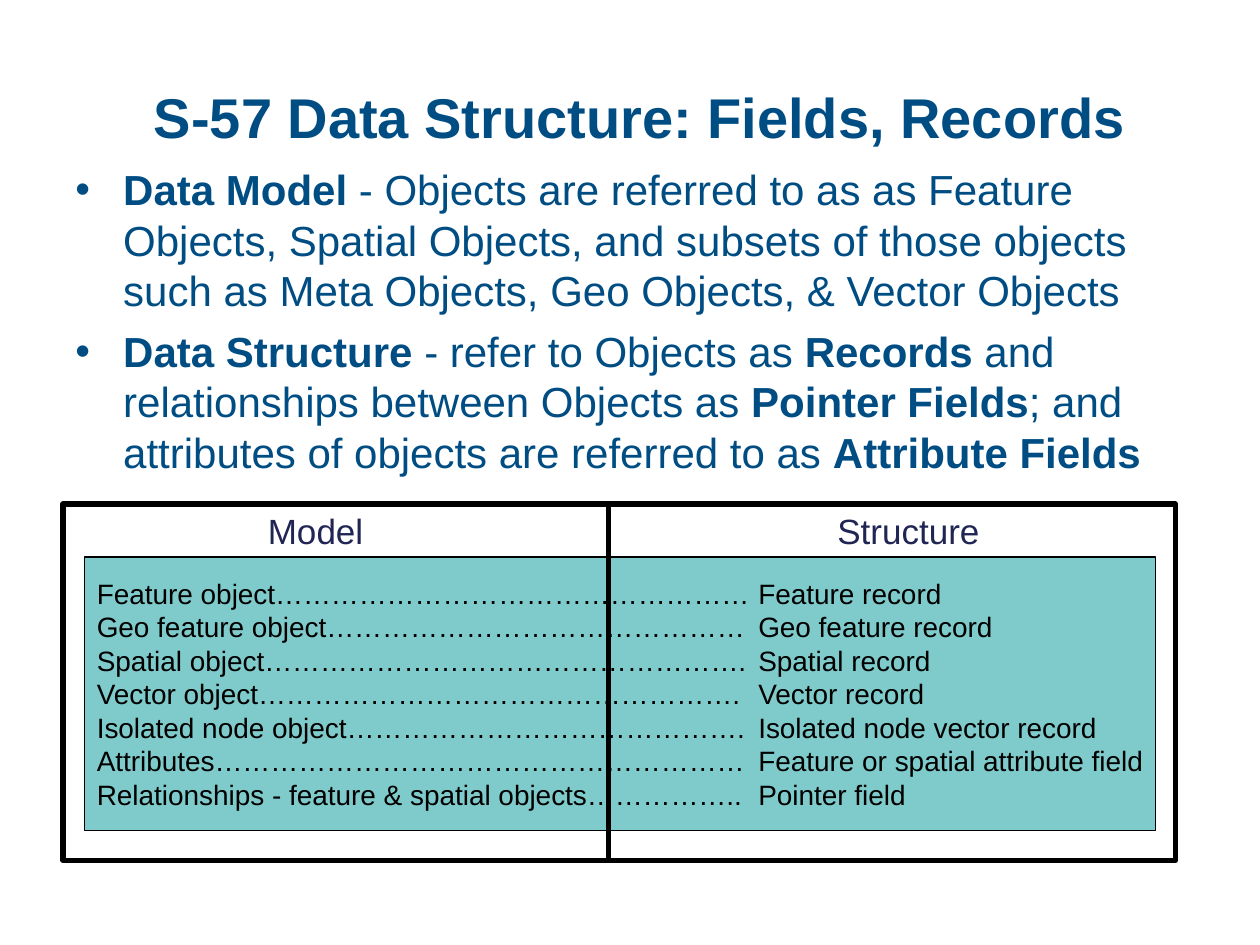
from lxml import etree
from pptx import Presentation
from pptx.dml.color import RGBColor
from pptx.enum.shapes import MSO_CONNECTOR, MSO_SHAPE
from pptx.enum.text import MSO_ANCHOR, PP_ALIGN
from pptx.oxml.ns import qn
from pptx.util import Inches, Pt

LEFT, CENTER = PP_ALIGN.LEFT, PP_ALIGN.CENTER
TOP, MIDDLE = MSO_ANCHOR.TOP, MSO_ANCHOR.MIDDLE
RECTANGLE, STRAIGHT = MSO_SHAPE.RECTANGLE, MSO_CONNECTOR.STRAIGHT

# Content: paragraphs are lists of (text, bold) spans
TITLE = "S-57 Data Structure: Fields, Records"
BULLETS = [
    [("Data Model", True),
     (" - Objects are referred to as as Feature Objects, Spatial Objects, and subsets "
      "of those objects such as Meta Objects, Geo Objects, & Vector Objects", False)],
    [("Data Structure", True), (" - refer to Objects as ", False), ("Records", True),
     (" and relationships between Objects as ", False), ("Pointer Fields", True),
     ("; and attributes of objects are referred to as ", False),
     ("Attribute Fields", True)],
]
HEADINGS = [("Model", 1.92, 1.17), ("Structure", 6.42, 1.58)]  # text, left, width
PAIRS = [
    ("Feature object……………………………………………", "Feature record"),
    ("Geo feature object………………………………………", "Geo feature record"),
    ("Spatial object…………………………………………….", "Spatial record"),
    ("Vector object…………………………………………….", "Vector record"),
    ("Isolated node object…………………………………….", "Isolated node vector record"),
    ("Attributes…………………………………………………", "Feature or spatial attribute field"),
    ("Relationships - feature & spatial objects……………..", "Pointer field"),
]

THEME = {
    "font": "Arial",
    "blue": RGBColor(0x00, 0x4D, 0x83),
    "navy": RGBColor(0x20, 0x25, 0x54),
    "teal": RGBColor(0x00, 0x99, 0x99),
    "black": RGBColor(0, 0, 0),
    "white": RGBColor(255, 255, 255),
    "title": 32, "body": 24, "heading": 20, "pair": 16,
}

# Layout in inches
PANEL_LEFT, PANEL_TOP, PANEL_WIDTH, PANEL_HEIGHT = 0.5, 4, 8.83, 2.83
HEADING_HEIGHT = 0.42
DIVIDER_X = 4.83
RECORD_TAB = 5.25
BULLET_INDENT = 0.38


def inches(*values):
    return [Inches(value) for value in values]


def add_bullet(para):
    properties = para._p.get_or_add_pPr()
    properties.set("marL", str(Inches(BULLET_INDENT)))
    properties.set("indent", str(-Inches(BULLET_INDENT)))
    etree.SubElement(properties, qn("a:buFont"), typeface=THEME["font"])
    etree.SubElement(properties, qn("a:buChar"), char="•")


def add_tab(para, position):
    tabs = etree.SubElement(para._p.get_or_add_pPr(), qn("a:tabLst"))
    etree.SubElement(tabs, qn("a:tab"), pos=str(Inches(position)), algn="l")


def write(box, paragraphs, size, color, align=LEFT, anchor=MIDDLE, wrap=False,
          bullet=False, tab=None, space=0):
    frame = box.text_frame
    frame.word_wrap = wrap
    frame.vertical_anchor = anchor
    for index, spans in enumerate(paragraphs):
        para = frame.add_paragraph() if index else frame.paragraphs[0]
        if bullet:
            add_bullet(para)
        if tab:
            add_tab(para, tab)
        para.alignment = align
        para.space_before = Pt(space if index else 0)
        for text, bold in spans:
            span = para.add_run()
            span.text = text
            span.font.name = THEME["font"]
            span.font.size = Pt(THEME[size])
            span.font.bold = bold
            span.font.color.rgb = THEME[color]


def add_rectangle(shapes, place, fill, line_width, opacity=None):
    box = shapes.add_shape(RECTANGLE, *inches(*place))
    box.shadow.inherit = False
    box.fill.solid()
    box.fill.fore_color.rgb = THEME[fill]
    if opacity is not None:
        color = box.fill._xPr.find(".//" + qn("a:srgbClr"))
        etree.SubElement(color, qn("a:alpha"), val=str(opacity * 1000))
    box.line.color.rgb = THEME["black"]
    box.line.width = Pt(line_width)
    return box


def main():
    deck = Presentation()
    deck.slide_width, deck.slide_height = inches(10, 7.5)
    slide = deck.slides.add_slide(deck.slide_layouts[5])

    # Title and bullets
    title = slide.shapes.title
    title.left, title.top, title.width, title.height = inches(0.83, 0.42, 8.5, 1)
    write(title, [[(TITLE, True)]], "title", "blue", align=CENTER, wrap=True)
    body = slide.shapes.add_textbox(*inches(0.5, 1.25, 9.17, 2.75))
    write(body, BULLETS, "body", "blue", anchor=TOP, wrap=True, bullet=True, space=6)

    # Comparison panel with its headings
    panel = slide.shapes.add_group_shape().shapes
    add_rectangle(panel, (PANEL_LEFT, PANEL_TOP, PANEL_WIDTH, PANEL_HEIGHT), "white", 3)
    for text, left, width in HEADINGS:
        heading = panel.add_textbox(*inches(left, PANEL_TOP, width, HEADING_HEIGHT))
        write(heading, [[(text, False)]], "heading", "navy", align=CENTER)

    # Matching terms, with the records lined up at a tab
    terms = add_rectangle(panel, (0.67, PANEL_TOP + HEADING_HEIGHT, 8.5, 2.17),
                          "teal", 0.75, opacity=50)
    rows = [[("\t".join(pair), False)] for pair in PAIRS]
    write(terms, rows, "pair", "black", tab=RECORD_TAB)

    # Divider
    divider = panel.add_connector(STRAIGHT, *inches(
        DIVIDER_X, PANEL_TOP, DIVIDER_X, PANEL_TOP + PANEL_HEIGHT))
    divider.line.color.rgb = THEME["black"]
    divider.line.width = Pt(3)
    etree.SubElement(divider._element.spPr, qn("a:effectLst"))

    deck.save("out.pptx")


if __name__ == "__main__":
    main()
